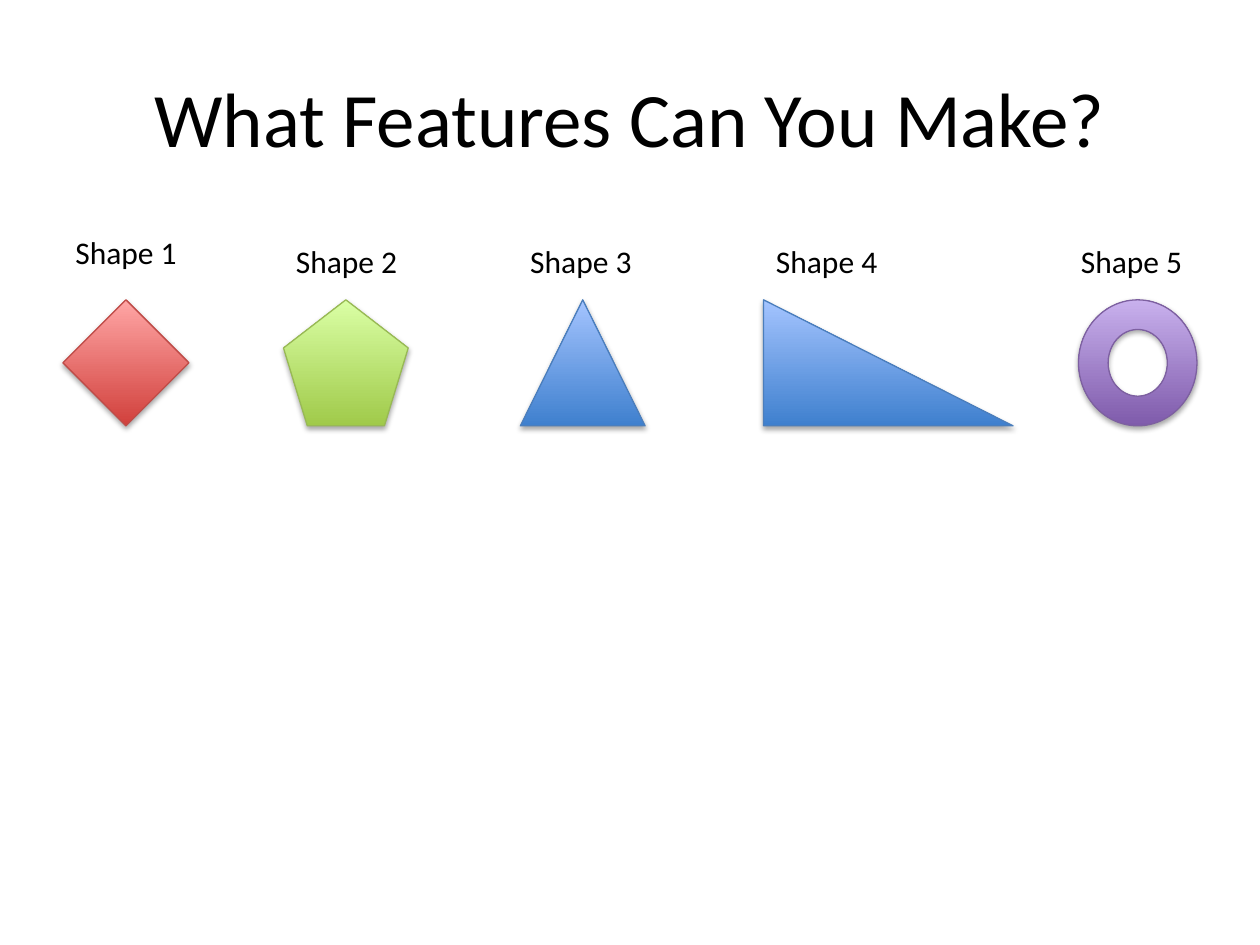
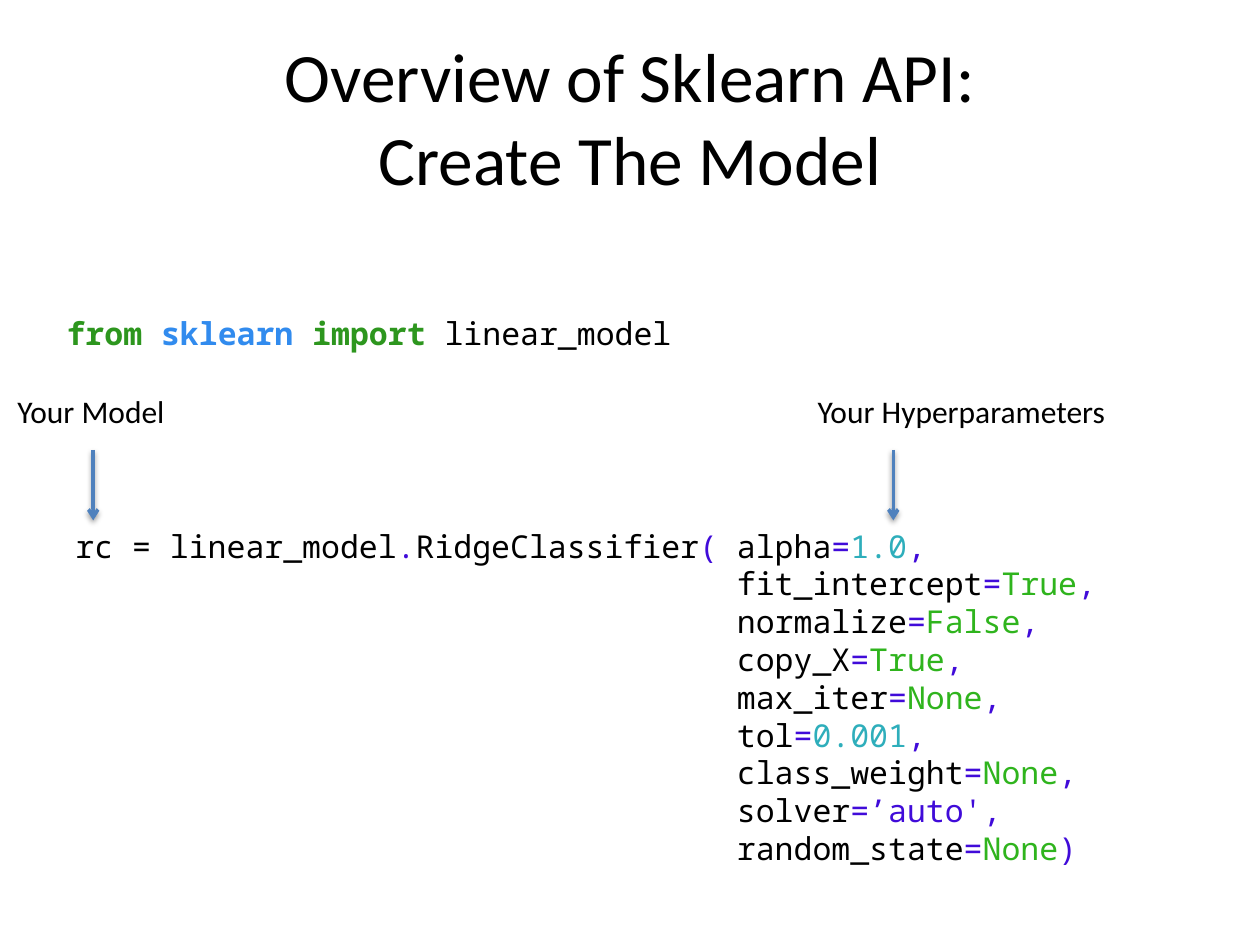
from lxml import etree
from pptx import Presentation
from pptx import util as u
from pptx.dml import color
from pptx.enum import shapes, text
from pptx.oxml import ns

PX = 9144  # 100 px to the inch
BLACK = "000000"
OPERATOR, NUMBER, CONSTANT = "400BD9", "2EAEBB", "2FB41D"
KEYWORD, LIBRARY = "2D961E", "318BEE"


def px(length):
    return u.Emu(length * PX)


def rgb(code):
    return color.RGBColor.from_string(code)


class Slides:
    """Holds the deck, its text style and the current page."""

    body_font, code_font, size = "Calibri", "Noto Sans Mono", 18
    accent = "4F81BD"

    def __init__(self):
        self.deck = Presentation()
        self.deck.slide_width, self.deck.slide_height = px(1000), px(750)

    def new_page(self, title, size):
        self.page = self.deck.slides.add_slide(self.deck.slide_layouts[6])
        box = self.page.shapes.add_textbox(px(50), px(30), px(900), px(125))
        box.text_frame.word_wrap = True
        box.text_frame.vertical_anchor = text.MSO_ANCHOR.MIDDLE
        para = box.text_frame.paragraphs[0]
        para.alignment = text.PP_ALIGN.CENTER
        for number, line in enumerate(title.split("\n")):
            if number:
                para.add_line_break()
            self.span(para, line, size=size)

    def span(self, para, words, code=BLACK, bold=False, font=None, size=None):
        span = para.add_run()
        span.text = words
        span.font.name = font or self.body_font
        span.font.size = u.Pt(size or self.size)
        span.font.bold = bold
        span.font.color.rgb = rgb(code)

    def text_box(self, left, top, width, height, lines, font=None, wrap=False):
        """Write lines, each a list of (words, colour, bold) with the last two optional."""
        box = self.page.shapes.add_textbox(px(left), px(top), px(width), px(height))
        frame = box.text_frame
        frame.word_wrap = wrap
        frame.auto_size = text.MSO_AUTO_SIZE.SHAPE_TO_FIT_TEXT
        for number, line in enumerate(lines):
            para = frame.add_paragraph() if number else frame.paragraphs[0]
            for part in line:
                self.span(para, *part, font=font)

    def label(self, left, top, width, words):
        self.text_box(left, top, width, 40, [[(words,)]])

    def code(self, left, top, width, height, lines, wrap=False):
        self.text_box(left, top, width, height, lines, self.code_font, wrap)

    def shadow(self, item, distance, opacity):
        """Give a shape or connector a soft shadow straight below it."""
        properties = item._element.spPr
        effects = properties.find(ns.qn("a:effectLst"))
        if effects is None:
            effects = etree.SubElement(properties, ns.qn("a:effectLst"))
        outer = etree.SubElement(effects, ns.qn("a:outerShdw"), blurRad=str(u.Pt(3.1)),
                                 dist=str(u.Pt(distance)), dir="5400000", rotWithShape="0")
        tone = etree.SubElement(outer, ns.qn("a:srgbClr"), val=BLACK)
        etree.SubElement(tone, ns.qn("a:alpha"), val=str(opacity * 1000))

    def gradient_shape(self, kind, left, top, width, height, colours):
        bottom, upper, outline = colours
        shape = self.page.shapes.add_shape(kind, px(left), px(top), px(width), px(height))
        shape.shadow.inherit = False
        shape.fill.gradient()
        shape.fill.gradient_angle = 90
        for stop, code in zip(shape.fill.gradient_stops, (bottom, upper)):
            stop.color.rgb = rgb(code)
        shape.line.color.rgb = rgb(outline)
        shape.line.width = u.Pt(0.75)
        self.shadow(shape, 1.8, 35)

    def down_arrow(self, x, top, bottom):
        arrow = self.page.shapes.add_connector(
            shapes.MSO_CONNECTOR.STRAIGHT, px(x), px(top), px(x), px(bottom))
        arrow.line.color.rgb = rgb(self.accent)
        arrow.line.width = u.Pt(2)
        line = arrow._element.spPr.find(ns.qn("a:ln"))
        etree.SubElement(line, ns.qn("a:tailEnd"), type="arrow")
        self.shadow(arrow, 1.6, 38)


def features_page(slides):
    slides.new_page("What Features Can You Make?", 44)
    kinds = shapes.MSO_SHAPE
    red = ("D1403C", "FFA6A5", "BF4C48")
    green = ("A0CA4A", "DAFFA5", "98B955")
    blue = ("3F80CE", "A4C4FF", "4B7EBC")
    purple = ("7F5BAB", "C8B0ED", "7D60A0")
    # kind, left, width, colours, label left, label top
    examples = [
        (kinds.DIAMOND, 50, 100, red, 50, 180),
        (kinds.REGULAR_PENTAGON, 225, 99, green, 225, 187),
        (kinds.ISOSCELES_TRIANGLE, 413, 99, blue, 411, 187),
        (kinds.RIGHT_TRIANGLE, 606, 198, blue, 606, 187),
        (kinds.DONUT, 856, 94, purple, 848, 187),
    ]
    for number, (kind, left, width, colours, label_left, label_top) in enumerate(examples, 1):
        slides.gradient_shape(kind, left, 238, width, 100, colours)
        slides.label(label_left, label_top, 101, f"Shape {number}")


def model_page(slides):
    slides.new_page("Overview of Sklearn API:\nCreate The Model", 39.6)
    call = [("rc = linear_model",), (".", OPERATOR), ("RidgeClassifier",), ("( ", OPERATOR)]
    indent = [(" " * sum(len(part[0]) for part in call),)]
    hyperparameters = [
        ("alpha", "1.0", NUMBER),
        ("fit_intercept", "True", CONSTANT),
        ("normalize", "False", CONSTANT),
        ("copy_X", "True", CONSTANT),
        ("max_iter", "None", CONSTANT),
        ("tol", "0.001", NUMBER),
        ("class_weight", "None", CONSTANT),
        ("solver", "’auto'", OPERATOR),
        ("random_state", "None", CONSTANT),
    ]
    last = len(hyperparameters) - 1
    lines = [
        (indent if row else call)
        + [(name,), ("=", OPERATOR), (value, tone), (")" if row == last else ",", OPERATOR)]
        for row, (name, value, tone) in enumerate(hyperparameters)
    ]
    slides.code(50, 413, 885, 283, lines, wrap=True)
    for x, left, width, words in [(74, 4, 140, "Your Model"),
                                  (709, 639, 254, "Your Hyperparameters")]:
        slides.down_arrow(x, 357, 413)
        slides.label(left, 306, width, words)
    slides.code(28, 244, 522, 40, [[
        (" from ", KEYWORD, True), ("sklearn ", LIBRARY, True),
        ("import ", KEYWORD, True), ("linear_model",),
    ]])


def main():
    slides = Slides()
    features_page(slides)
    model_page(slides)
    slides.deck.save("out.pptx")


if __name__ == "__main__":
    main()
